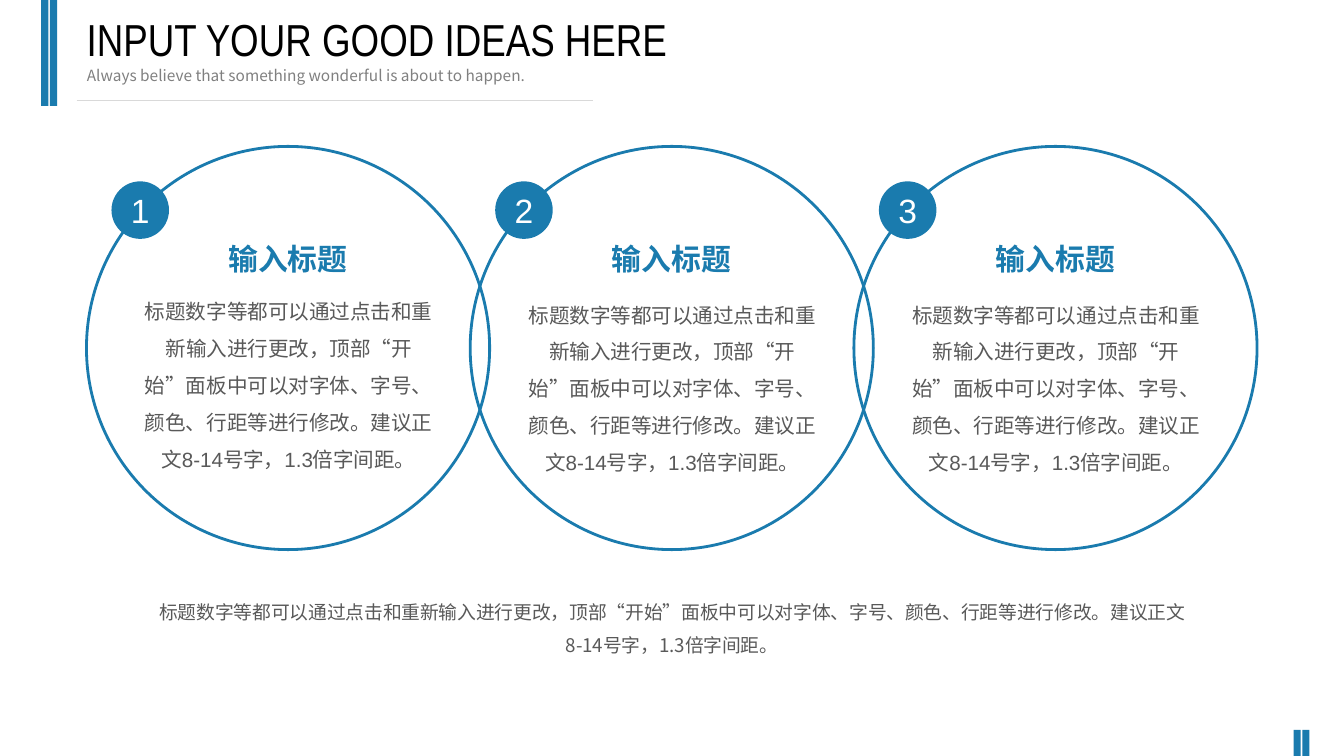
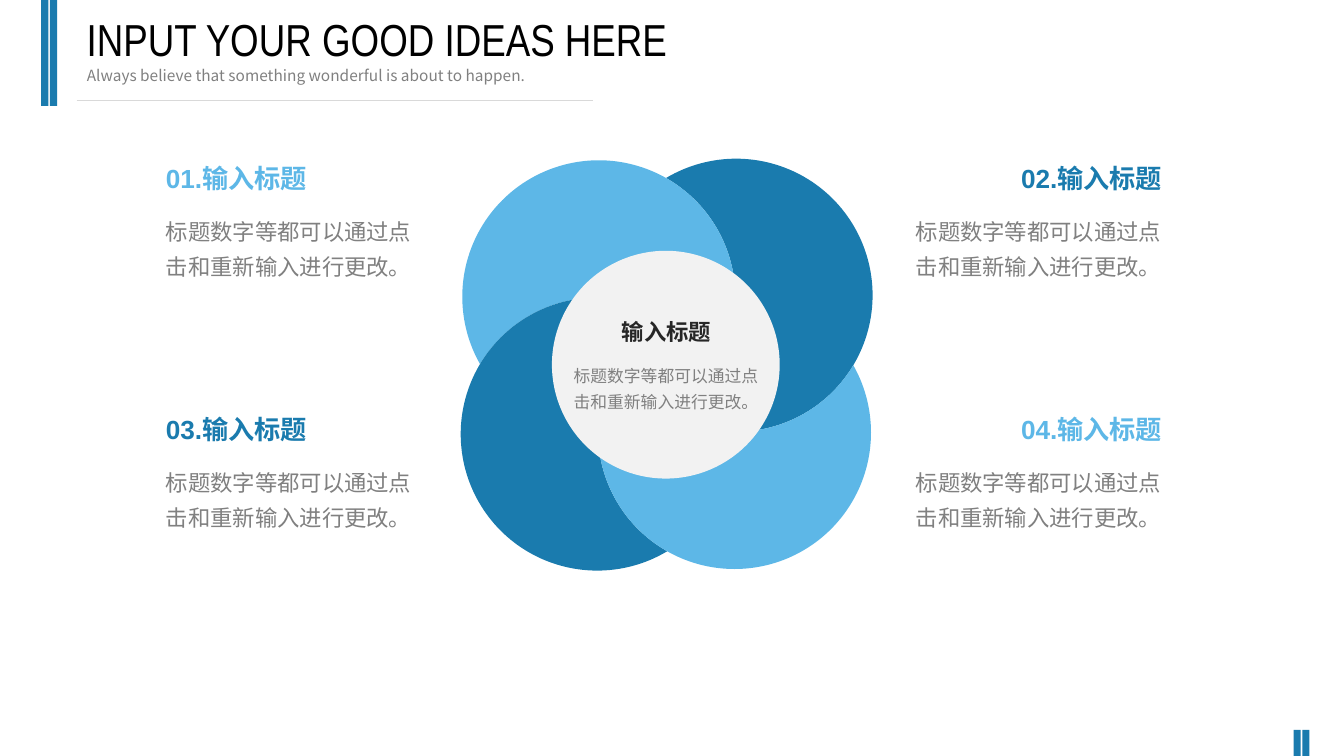
import math

from lxml import etree
from pptx import Presentation
from pptx.dml.color import RGBColor
from pptx.enum import shapes, text
from pptx.oxml.ns import qn
from pptx.util import Cm, Pt

BLUE = RGBColor(0x1A, 0x7B, 0xAE)
SKY = RGBColor(0x5D, 0xB7, 0xE7)
RULE = RGBColor(0xD9, 0xD9, 0xD9)
HUB = RGBColor(0xF2, 0xF2, 0xF2)
WHITE = RGBColor(0xFF, 0xFF, 0xFF)
BLACK = RGBColor(0, 0, 0)
INK = RGBColor(0x26, 0x26, 0x26)
DARK = RGBColor(0x59, 0x59, 0x59)
GREY = RGBColor(0x80, 0x80, 0x80)
CJK = "Noto Sans CJK SC"
LEFT, CENTER, RIGHT = text.PP_ALIGN.LEFT, text.PP_ALIGN.CENTER, text.PP_ALIGN.RIGHT
RECT, OVAL = shapes.MSO_SHAPE.RECTANGLE, shapes.MSO_SHAPE.OVAL

TITLE = "INPUT YOUR GOOD IDEAS HERE"
SUBTITLE = "Always believe that something wonderful is about to happen."
HEADING = "输入标题"
SHORT = "标题数字等都可以通过点击和重新输入进行更改。"
LONG = ("标题数字等都可以通过点击和重新输入进行更改，顶部“开始”面板中可以对字体、字号、"
        "颜色、行距等进行修改。建议正文8-14号字，1.3倍字间距。")


def place(s, kind, x, y, w, h, fill=None, line=None):
    """Add a preset shape, or a text box when kind is None; lengths in cm."""
    box = Cm(x), Cm(y), Cm(w), Cm(h)
    if kind is None:
        return s.shapes.add_textbox(*box)
    sp = s.shapes.add_shape(kind, *box)
    sp.shadow.inherit = False
    if fill is None:
        sp.fill.background()
    else:
        sp.fill.solid()
        sp.fill.fore_color.rgb = fill
    if line is None:
        sp.line.fill.background()
    else:
        sp.line.color.rgb = line
        sp.line.width = Pt(2)
    return sp


def write(sp, words, size, color, align=LEFT, font="Arial", bold=False, spacing=None, wrap=True):
    tf = sp.text_frame
    tf.text = words
    tf.word_wrap = wrap
    tf.vertical_anchor = text.MSO_ANCHOR.TOP
    tf.auto_size = text.MSO_AUTO_SIZE.SHAPE_TO_FIT_TEXT
    p = tf.paragraphs[0]
    p.alignment = align
    p.line_spacing = spacing
    p.font.size = Pt(size)
    p.font.bold = bold
    p.font.color.rgb = color
    p.font.name = font
    etree.SubElement(p.font._element, qn("a:ea"), typeface=CJK)


prs = Presentation()
prs.slide_width, prs.slide_height = Cm(33.87), Cm(19.05)

# Shared layout: title position, corner bars and the rule below the title
layout = prs.slide_layouts[5]
for ph in list(layout.placeholders):
    if ph.placeholder_format.type != shapes.PP_PLACEHOLDER.TITLE:
        ph.element.getparent().remove(ph.element)
    else:
        ph.left, ph.top, ph.width, ph.height = Cm(1.93), Cm(0.17), Cm(22.02), Cm(1.63)

slides = [prs.slides.add_slide(layout) for _ in range(2)]
circles, petals = slides

decor = [place(circles, RECT, x, y, 0.18, h, BLUE)
         for x, y, h in [(1.04, 0, 2.67), (1.26, 0, 2.67), (32.6, 18.39, 0.66), (32.82, 18.39, 0.66)]]
rule = circles.shapes.add_connector(shapes.MSO_CONNECTOR.STRAIGHT, Cm(1.93), Cm(2.53), Cm(14.94), Cm(2.53))
rule.line.color.rgb = RULE
rule.line.width = Pt(0.75)
etree.SubElement(rule.element.spPr, qn("a:effectLst"))
for sp in decor + [rule]:
    layout.shapes.element.append(sp.element)

for s in slides:
    write(s.shapes.title, TITLE, 32, BLACK, font="Arial Narrow")
    write(place(s, None, 1.94, 1.54, 17.93, 0.74), SUBTITLE, 11, GREY, font=CJK)

# Slide 1: three linked circles
lefts = [2.18 + 9.67 * i for i in range(3)]
for x in lefts:
    place(circles, OVAL, x, 3.69, 10.16, 10.16, line=BLUE)
for number, (x, body_top) in enumerate(zip(lefts, (7.1, 7.19, 7.19)), 1):
    write(place(circles, None, x + 1.09, body_top, 8, 4.95), LONG, 14.67, DARK, CENTER, spacing=1.5)
    write(place(circles, None, x + 3.3, 5.94, 3.56, 1.17), HEADING, 21.33, BLUE, CENTER, CJK,
          bold=True, wrap=False)
    badge = place(circles, OVAL, x + 0.63, 4.57, 1.45, 1.45, BLUE)
    write(badge, str(number), 24, WHITE, CENTER)
    tf = badge.text_frame
    tf.auto_size = text.MSO_AUTO_SIZE.NONE
    tf.vertical_anchor = text.MSO_ANCHOR.MIDDLE
    tf.margin_left = tf.margin_right = tf.margin_top = tf.margin_bottom = 0
write(place(circles, None, 3.64, 14.73, 26.59, 1.85), LONG, 13.33, DARK, CENTER, CJK, spacing=1.5)

# Slide 2: each petal is a disc, turned by 45 degrees, with its neighbour's disc cut out
cx, cy, radius = 16.8, 9.19, 3.44
TURN, UNIT = 45, 10000
ring = [(cx + dx, cy + dy, color) for dx, dy, color in [
    (1.75, -1.75, BLUE), (-1.71, -1.71, SKY), (-1.75, 1.75, BLUE), (1.71, 1.71, SKY)]]
for i, (x, y, color) in enumerate(ring):
    nx, ny, _ = ring[(i + 1) % len(ring)]
    toward = math.degrees(math.atan2(ny - y, nx - x)) - TURN
    half = math.degrees(math.acos(math.hypot(nx - x, ny - y) / (2 * radius)))
    corners = [(round(UNIT * (1 + math.cos(math.radians(a)))), round(UNIT * (1 + math.sin(math.radians(a)))))
               for a in (toward + half, toward - half)]
    builder = petals.shapes.build_freeform(*corners[0], scale=Cm(radius) / UNIT)
    builder.add_line_segments(corners[1:])
    petal = builder.convert_to_shape()
    petal.left, petal.top = Cm(x - radius), Cm(y - radius)
    petal.width = petal.height = Cm(2 * radius)
    petal.rotation = TURN
    petal.shadow.inherit = False
    petal.fill.solid()
    petal.fill.fore_color.rgb = color
    petal.line.fill.background()

    # Curved outline: the long outer arc, then the neighbour's arc back
    outline = petal.element.find(".//" + qn("a:path"))
    for part in list(outline):
        outline.remove(part)
    outline.set("w", str(2 * UNIT))
    outline.set("h", str(2 * UNIT))
    start = etree.SubElement(outline, qn("a:moveTo"))
    etree.SubElement(start, qn("a:pt"), x=str(corners[0][0]), y=str(corners[0][1]))
    for begin, sweep in [(toward + half, 360 - 2 * half), (toward + 180 + half, -2 * half)]:
        etree.SubElement(outline, qn("a:arcTo"), wR=str(UNIT), hR=str(UNIT),
                         stAng=str(round(begin % 360 * 60000)), swAng=str(round(sweep * 60000)))
    etree.SubElement(outline, qn("a:close"))

place(petals, OVAL, 13.91, 6.32, 5.74, 5.74, HUB)
write(place(petals, None, 14.24, 7.9, 5.11, 0.94), HEADING, 16, INK, CENTER, bold=True)
write(place(petals, None, 14.04, 8.94, 5.49, 1.52), SHORT, 12, GREY, CENTER, spacing=1.3)

for number, x, y, color, align in [
        ("01", 3.93, 3.96, SKY, LEFT), ("03", 3.93, 10.3, BLUE, LEFT),
        ("02", 22.33, 3.96, BLUE, RIGHT), ("04", 22.33, 10.3, SKY, RIGHT)]:
    write(place(petals, None, x, y, 7.19, 1.07), f"{number}.{HEADING}", 18.67, color, align, bold=True)
    write(place(petals, None, x, y + 1.2, 7.19, 1.96), SHORT, 16, GREY, align, spacing=1.3)

prs.save("out.pptx")
